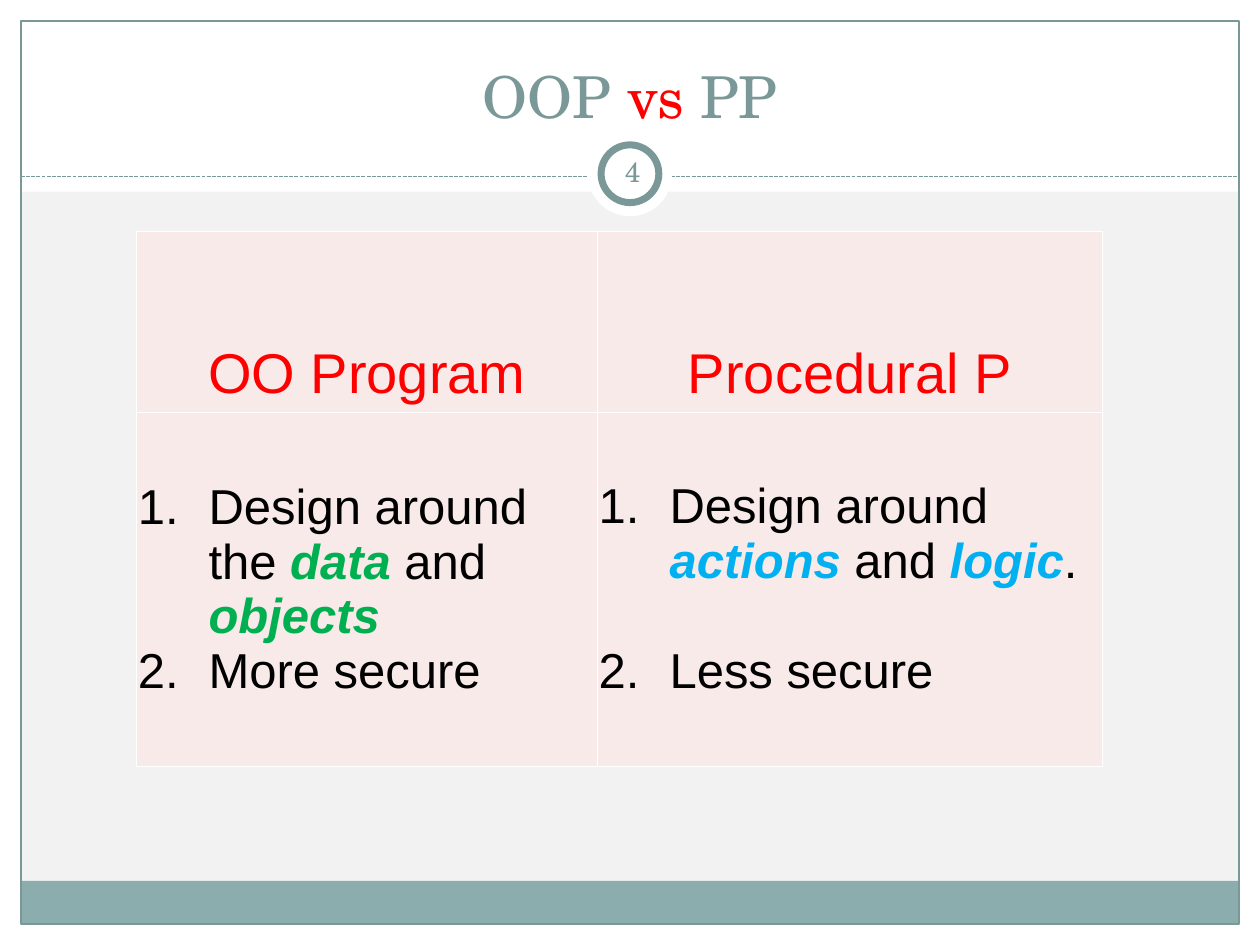
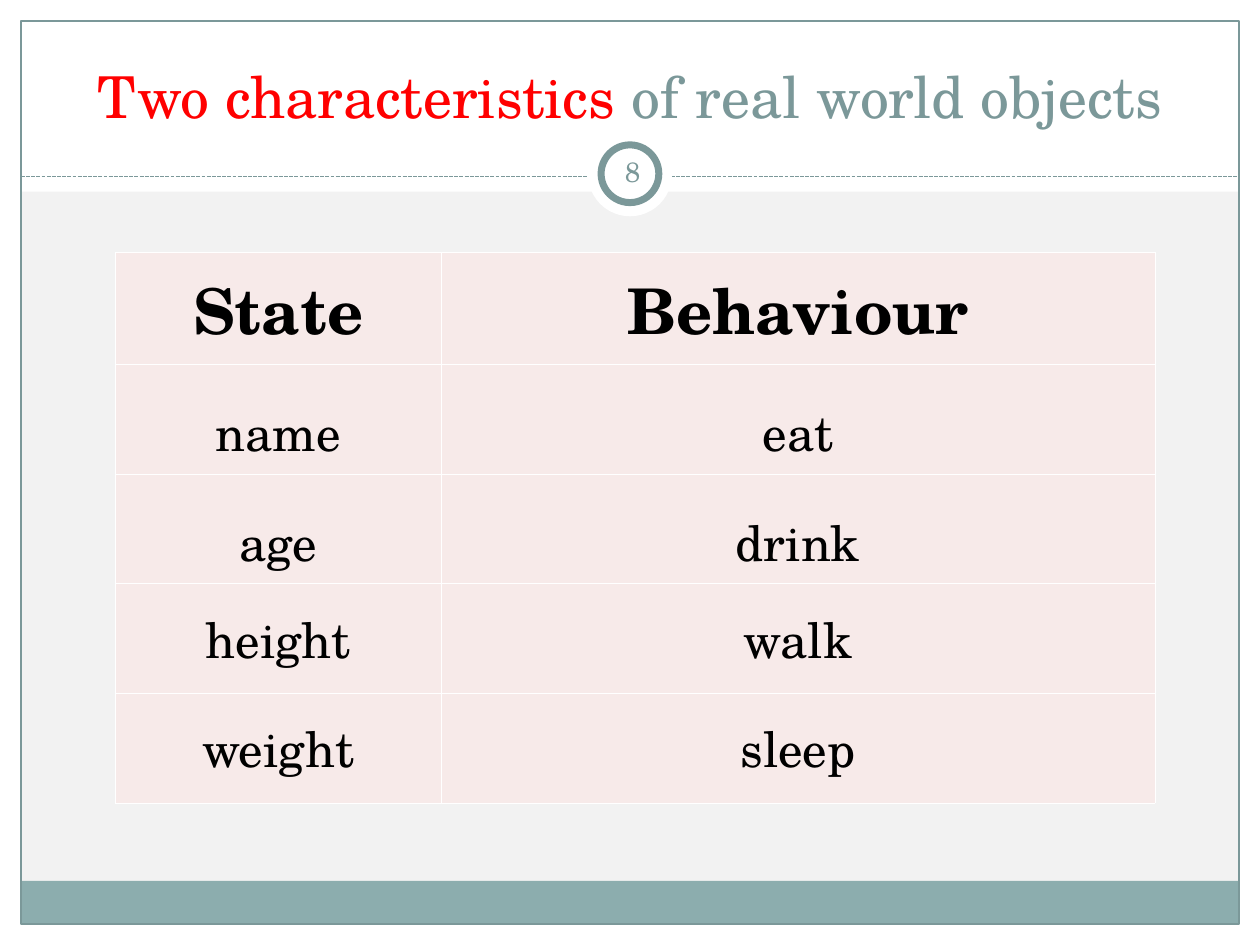
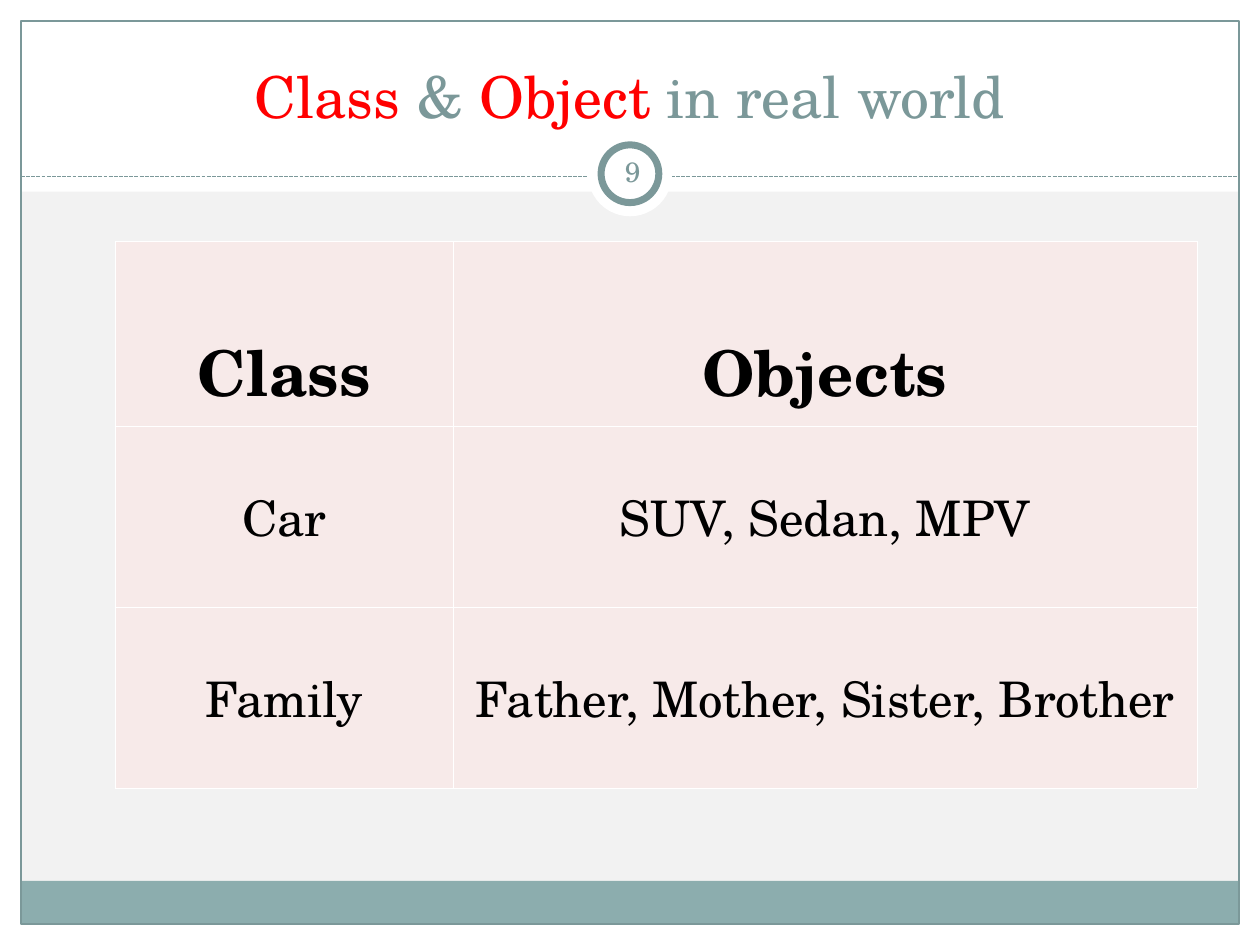
from lxml.etree import SubElement
from pptx import Presentation
from pptx.dml.color import RGBColor
from pptx.enum.dml import MSO_LINE
from pptx.enum.shapes import MSO_CONNECTOR, MSO_SHAPE
from pptx.enum.text import MSO_ANCHOR, MSO_AUTO_SIZE, PP_ALIGN
from pptx.oxml import parse_xml
from pptx.oxml.ns import nsdecls, qn
from pptx.util import Inches, Pt

COLS, ROWS = 120, 90
WHITE, GREY, TEAL, BAND, PINK = "FFFFFF", "F2F2F2", "7B9899", "8CADAE", "F7EAE9"
BLACK, RED, GREEN, BLUE = "000000", "FF0000", "00B050", "00B0F0"
SERIF, SANS = "TeX Gyre Schola", "Arial"
LOW, MID = MSO_ANCHOR.BOTTOM, MSO_ANCHOR.MIDDLE

HEAD = dict(name=SERIF, size=33, color=TEAL, bold=False)
PAGE = HEAD | dict(size=16)
CELL = HEAD | dict(size=28, color=BLACK)
TOP = CELL | dict(size=36, bold=True)
ITEM = CELL | dict(name=SANS)
LABEL = ITEM | dict(size=32, color=RED)
HOT = dict(color=RED)
DATA = dict(color=GREEN, bold=True, italic=True)
LOGIC = DATA | dict(color=BLUE)


def hue(code):
    """Turn a hex string into a colour."""
    return RGBColor.from_string(code)


def put(item, values):
    """Set each attribute of an item from a dict."""
    for key, value in values.items():
        setattr(item, key, value)


def style(font, values):
    """Apply a text style to a font."""
    put(font, {k: v for k, v in values.items() if k not in ("size", "color")})
    font.size = Pt(values["size"])
    font.color.rgb = hue(values["color"])


class Deck:
    """Hold the deck, its grid and the current slide."""

    def __init__(self):
        """Start the deck and set the grid and the shared layout."""
        self.show = Presentation()
        put(self.show, dict(slide_width=Inches(10), slide_height=Inches(7.5)))
        self.wide = self.show.slide_width / COLS
        self.high = self.show.slide_height / ROWS
        self.base = self.show.slide_layouts.get_by_name("Title Only")
        fill = self.base.background.fill
        fill.solid()
        fill.fore_color.rgb = hue(GREY)
        self.slide = None

    def area(self, left, top, width, height):
        """Convert grid columns and rows to slide lengths."""
        return (int(left * self.wide), int(top * self.high),
                int(width * self.wide), int(height * self.high))

    def shape(self, kind, area, fill=None, line=None, weight=0.75):
        """Add a plain preset shape."""
        form = self.slide.shapes.add_shape(kind, *self.area(*area))
        form.shadow.inherit = False
        for part, code in ((form.fill, fill), (form.line.fill, line)):
            if code:
                part.solid()
                part.fore_color.rgb = hue(code)
            else:
                part.background()
        if line:
            form.line.width = Pt(weight)

    def rule(self, left, top, right):
        """Add a dashed level line."""
        line = self.slide.shapes.add_connector(
            MSO_CONNECTOR.STRAIGHT, *self.area(left, top, right, top))
        put(line.line, dict(width=Pt(0.75), dash_style=MSO_LINE.SQUARE_DOT))
        line.line.color.rgb = hue(TEAL)
        SubElement(line._element.spPr, qn("a:effectLst"))

    def frame(self):
        """Draw the shared bands, border and ring, then move them to the layout."""
        for area in ((0, 88, 120, 2), (0, 0, 120, 18.25),
                     (0, 0, 2, 90), (118, 0, 2, 90)):
            self.shape(MSO_SHAPE.RECTANGLE, area, WHITE)
        self.shape(MSO_SHAPE.RECTANGLE, (2, 83.9, 116, 4.1), BAND)
        self.shape(MSO_SHAPE.RECTANGLE, (2, 2, 116, 86), line=TEAL)
        self.rule(2, 16.8, 118)
        self.shape(MSO_SHAPE.OVAL, (56, 12.6, 8, 8), WHITE)
        self.shape(MSO_SHAPE.OVAL, (57.25, 13.8, 5.5, 5.5), WHITE, TEAL, 4)
        for form in list(self.slide.shapes):
            if not form.is_placeholder:
                self.base.shapes.element.append(form.element)

    def page(self, title, number):
        """Open a slide with its title and page number."""
        first = self.slide is None
        self.slide = self.show.slides.add_slide(self.base)
        if first:
            self.frame()
        head = self.slide.shapes.title
        box = self.slide.shapes.add_textbox(*self.area(57.25, 13.45, 6, 5.75))
        sides = ("left", "top", "width", "height")
        put(head, dict(zip(sides, self.area(4, 3, 112, 10))))
        for form, anchor in ((head, LOW), (box, MID)):
            put(form.text_frame, dict(word_wrap=True, vertical_anchor=anchor,
                                      auto_size=MSO_AUTO_SIZE.NONE))
        pads = ("margin_left", "margin_right", "margin_top", "margin_bottom")
        put(box.text_frame, dict.fromkeys(pads, Inches(0.05)))
        self.text(head.text_frame.paragraphs[0], title, HEAD)
        self.text(box.text_frame.paragraphs[0], [number], PAGE)

    def text(self, para, runs, look, align=PP_ALIGN.CENTER):
        """Fill a paragraph with plain or specially styled runs."""
        para.alignment = align
        for part in runs:
            words, extra = (part, {}) if isinstance(part, str) else part
            run = para.add_run()
            run.text = words
            style(run.font, look | extra)

    def list(self, frame, items, gap):
        """Fill a cell with a numbered list."""
        for spot, runs in enumerate(items):
            para = frame.add_paragraph() if spot else frame.paragraphs[0]
            if spot and gap:
                para.space_before = Pt(gap)
            prop = para._p.get_or_add_pPr()
            step = int(6.75 * self.wide)
            prop.set("marL", str(step))
            prop.set("indent", str(-step))
            SubElement(SubElement(prop, qn("a:buClr")), qn("a:srgbClr"), val=BLACK)
            SubElement(prop, qn("a:buAutoNum"), type="arabicPeriod")
            self.text(para, runs, ITEM, PP_ALIGN.LEFT)

    def grid(self, left, top, cols, rows):
        """Add an empty tinted table with thin white borders."""
        area = self.area(left, top, sum(cols), sum(rows))
        table = self.slide.shapes.add_table(len(rows), len(cols), *area).table
        put(table, dict(first_row=False, horz_banding=False))
        for col, size in zip(table.columns, cols):
            col.width = int(size * self.wide)
        for row, size in zip(table.rows, rows):
            row.height = int(size * self.high)
        for cell in table.iter_cells():
            put(cell, dict(margin_left=Inches(0.01), margin_right=Inches(0.01),
                           vertical_anchor=MID))
            cell.fill.solid()
            cell.fill.fore_color.rgb = hue(PINK)
            prop = cell._tc.get_or_add_tcPr()
            for spot, side in enumerate("LRTB"):
                prop.insert(spot, parse_xml(
                    f'<a:ln{side} {nsdecls("a")} w="{Pt(0.45)}"><a:solidFill>'
                    f'<a:srgbClr val="{WHITE}"/></a:solidFill></a:ln{side}>'))
        return table

    def fill(self, table, texts, top=TOP, low=1):
        """Fill table rows, setting the first ones at the cell bottom."""
        for row, line in enumerate(texts):
            for col, words in enumerate(line):
                cell = table.cell(row, col)
                if row < low:
                    cell.vertical_anchor = LOW
                self.text(cell.text_frame.paragraphs[0], [words],
                          CELL if row else top)


def main():
    """Build and save the three slides."""
    deck = Deck()

    deck.page(["OOP ", ("vs", HOT), " PP"], "4")
    table = deck.grid(13, 22, (43.9, 48.1), (17.25, 33.75))
    deck.fill(table, [("OO Program", "Procedural P")], LABEL)
    deck.list(table.cell(1, 0).text_frame, [
        ["Design around the ", ("data", DATA), " and ", ("objects", DATA)],
        ["More secure"]], 0)
    deck.list(table.cell(1, 1).text_frame, [
        ["Design around ", ("actions", LOGIC), " and ", ("logic", LOGIC), "."],
        ["Less secure"]], 32)

    deck.page([("Two characteristics ", HOT), "of real world objects"], "8")
    table = deck.grid(11, 24, (31, 68), (10.7, *[10.45] * 4))
    deck.fill(table, [("State", "Behaviour"), ("name", "eat"), ("age", "drink"),
                      ("height", "walk"), ("weight", "sleep")], low=3)

    deck.page([("Class", HOT), " & ", ("Object", HOT), " in real world"], "9")
    table = deck.grid(11, 23, (32.15, 70.85), (17.65, 17.2, 17.2))
    deck.fill(table, [("Class", "Objects"), ("Car", "SUV, Sedan, MPV"),
                      ("Family", "Father, Mother, Sister, Brother")])

    deck.show.save("out.pptx")


if __name__ == "__main__":
    main()
